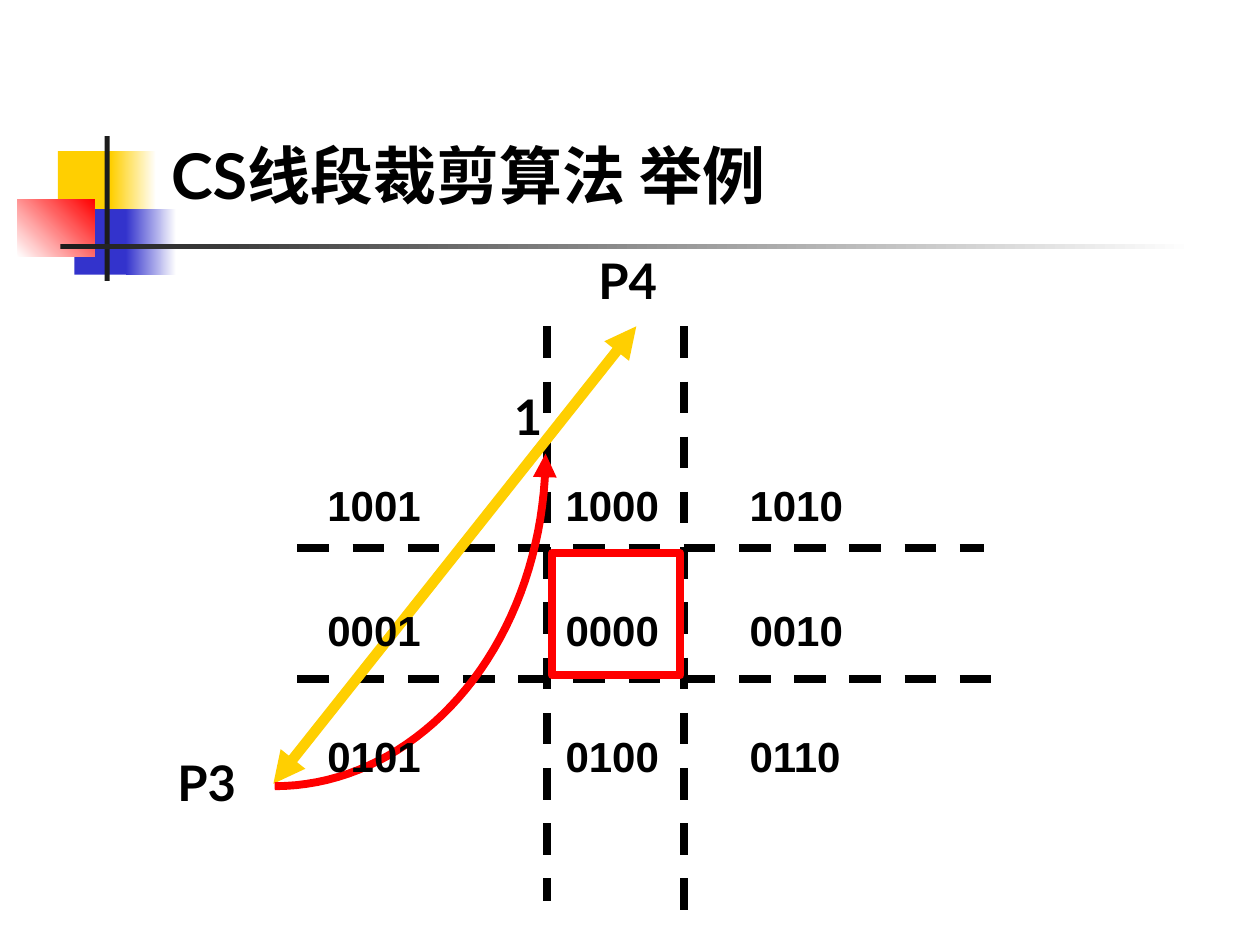
import math
from lxml import etree
from pptx import Presentation
from pptx import util as u
from pptx.dml import color
from pptx.enum import dml, shapes, text
from pptx.oxml import ns

PX = 9144


def rgb(code):
    return color.RGBColor.from_string(code)


def style(line, code, width, ends=()):
    line.color.rgb = rgb(code)
    line.width = u.Pt(width)
    for end in ends:
        etree.SubElement(line._get_or_add_ln(), ns.qn("a:" + end), type="triangle")


deck = Presentation()
deck.slide_width, deck.slide_height = 1000 * PX, 750 * PX
slide = deck.slides.add_slide(deck.slide_layouts[6])
items = slide.shapes

blocks = [
    (46, 120, 48, 52, "FFCF01", None, 0),
    (88, 120, 36, 52, "FFCF01", "FFFFFF", 0),
    (59, 166, 46, 52, "3333CC", None, 0),
    (100, 166, 40, 52, "3333CC", "FFFFFF", 0),
    (14, 158, 61, 46, "FFFFFF", "FF0000", 45),
    (83, 108, 4, 115, "1C1C1C", None, 0),
    (48, 194, 900, 4, "1C1C1C", "FFFFFF", 0),
]
for *box, first, last, angle in blocks:
    rect = items.add_shape(shapes.MSO_SHAPE.RECTANGLE, *[n * PX for n in box])
    rect.shadow.inherit = False
    rect.line.fill.background()
    if last is None:
        rect.fill.solid()
        rect.fill.fore_color.rgb = rgb(first)
    else:
        rect.fill.gradient()
        rect.fill.gradient_angle = angle
        for stop, code, place in zip(rect.fill.gradient_stops, (first, last), (0, 1)):
            stop.color.rgb = rgb(code)
            stop.position = place

lines = [
    (434, 259, 434, 715),
    (543, 259, 543, 726),
    (236, 435, 781, 435),
    (236, 539, 791, 539),
    (217, 622, 505, 259),
]
for pts in lines:
    edge = items.add_connector(shapes.MSO_CONNECTOR.STRAIGHT, *[n * PX for n in pts])
    if pts == lines[-1]:
        style(edge.line, "FFCF01", 6, ("headEnd", "tailEnd"))
    else:
        style(edge.line, "000000", 4.5)
        edge.line.dash_style = dml.MSO_LINE.DASH
    etree.SubElement(edge._element.spPr, ns.qn("a:effectLst"))

pane = items.add_shape(
    shapes.MSO_SHAPE.RECTANGLE, *[n * PX for n in (438, 439, 102, 97)]
)
pane.shadow.inherit = False
pane.fill.background()
style(pane.line, "FF0000", 4.5)

steps = 40
turns = [math.pi / 2 * i / steps for i in range(steps + 1)]
curve = [
    (round((218 + 215 * math.sin(t)) * PX), round((360 + 264 * math.cos(t)) * PX))
    for t in turns
]
pen = items.build_freeform(*curve[0])
pen.add_line_segments(curve[1:], close=False)
arc = pen.convert_to_shape()
arc.shadow.inherit = False
arc.fill.background()
style(arc.line, "FF0000", 4.5, ("tailEnd",))

labels = [
    ("CS线段裁剪算法 举例", 126, 100, 874, 73, 36, "Lato"),
    ("P3", 131, 592, 68, 57, 28, "Lato"),
    ("P4", 465, 194, 68, 57, 28, "Lato"),
    ("1", 398, 302, 43, 57, 28, "Lato"),
]
for top, row in zip((376, 475, 575), ("10", "00", "01")):
    for left, col in zip((250, 439, 585), ("01", "00", "10")):
        labels.append((row + col, left, top, 98, 50, 24, "Arial"))

for words, *box, size, face in labels:
    frame = items.add_textbox(*[n * PX for n in box]).text_frame
    frame.word_wrap = size != 28
    if size == 36:
        frame.vertical_anchor = text.MSO_ANCHOR.BOTTOM
    else:
        frame.auto_size = text.MSO_AUTO_SIZE.SHAPE_TO_FIT_TEXT
    para = frame.paragraphs[0]
    para.text = words
    para.font.name = face
    para.font.size = u.Pt(size)
    para.font.bold = True
    para.font.color.rgb = rgb("000000")

deck.save("out.pptx")
